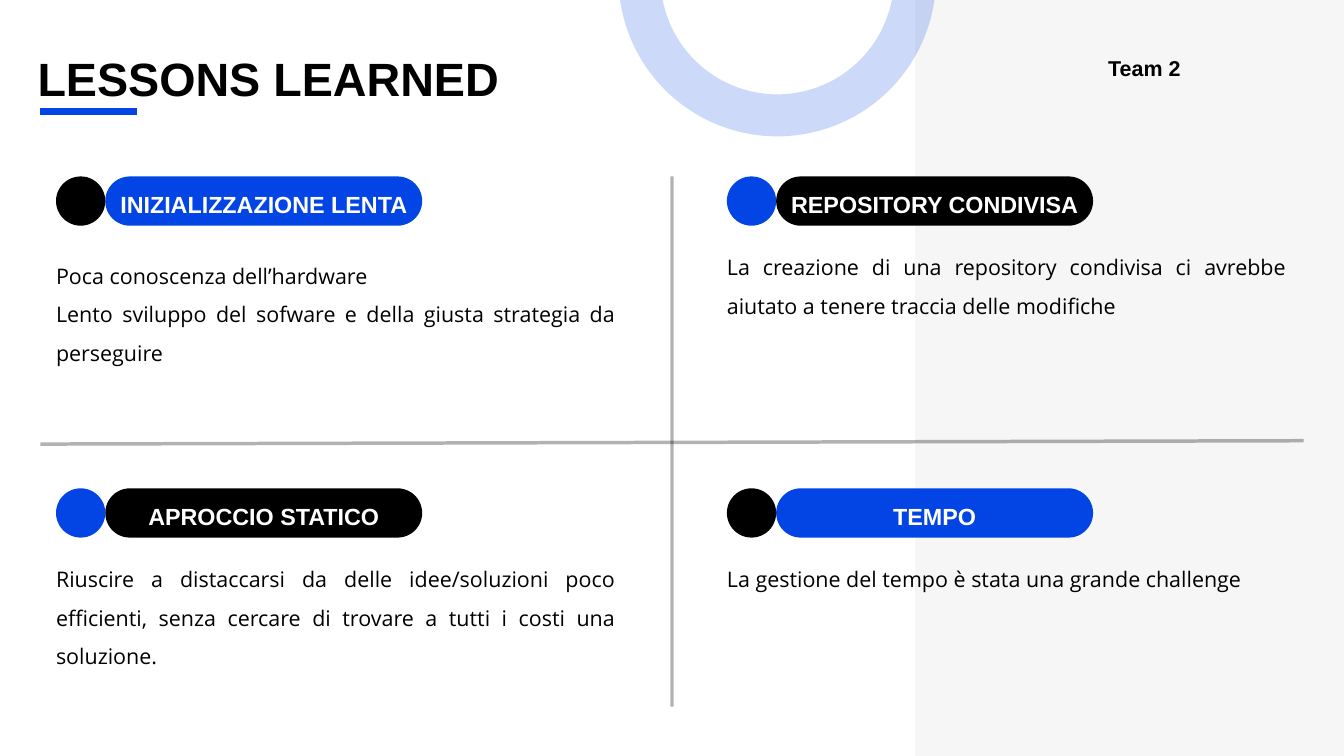
from lxml.etree import SubElement
from pptx import Presentation
from pptx.dml.color import RGBColor
from pptx.enum.shapes import MSO_CONNECTOR, MSO_SHAPE
from pptx.enum.text import MSO_ANCHOR, MSO_AUTO_SIZE, PP_ALIGN
from pptx.oxml.ns import qn
from pptx.util import Inches, Pt

COLORS = {"blue": "0345E4", "black": "000000", "white": "FFFFFF", "panel": "F6F6F6"}
WIDTH, HEIGHT, COLUMNS = 20, 11.25, 24
ROWS = COLUMNS * HEIGHT / WIDTH
HEADING = {"name": "Arial", "bold": True}
FORMATS = {
    "title": {"font": HEADING | {"size": Pt(50)}, "color": "black",
              "paragraph": {"alignment": PP_ALIGN.LEFT, "line_spacing": 1.4}},
    "team": {"font": HEADING | {"size": Pt(23)}, "color": "black",
             "paragraph": {"alignment": PP_ALIGN.LEFT, "line_spacing": 1.4}},
    "label": {"font": HEADING | {"size": Pt(25)}, "color": "white",
              "paragraph": {"alignment": PP_ALIGN.CENTER, "line_spacing": 1.4},
              "frame": {"vertical_anchor": MSO_ANCHOR.MIDDLE}},
    "body": {"font": {"name": "Open Sans", "bold": False, "size": Pt(23)}, "color": "black",
             "paragraph": {"alignment": PP_ALIGN.JUSTIFY, "line_spacing": 1.5}},
}
FRAME = {"margin_left": 0, "margin_right": 0, "margin_top": 0, "margin_bottom": 0,
         "word_wrap": True, "auto_size": MSO_AUTO_SIZE.NONE, "vertical_anchor": MSO_ANCHOR.TOP}

LEFT, RIGHT, TOP, BOTTOM = 1, 12.98, 3.15, 8.72
DOT, PILL_WIDTH, BODY_WIDTH = 0.88, 5.66, 10
LESSONS = [
    (LEFT, TOP, "black", "blue", "INIZIALIZZAZIONE LENTA", 4.46,
     ["Poca conoscenza dell’hardware",
      "Lento sviluppo del sofware e della giusta strategia da perseguire"]),
    (RIGHT, TOP, "blue", "black", "REPOSITORY CONDIVISA", 4.31,
     ["La creazione di una repository condivisa ci avrebbe aiutato a tenere traccia "
      "delle modifiche"]),
    (LEFT, BOTTOM, "blue", "black", "APROCCIO STATICO", 9.88,
     ["Riuscire a distaccarsi da delle idee/soluzioni poco efficienti, senza cercare "
      "di trovare a tutti i costi una soluzione."]),
    (RIGHT, BOTTOM, "black", "blue", "TEMPO", 9.88,
     ["La gestione del tempo è stata una grande challenge"]),
]


def assign(target, values):
    """Set each named attribute of the target."""
    for attribute, value in values.items():
        setattr(target, attribute, value)


class Board:
    """Draws styled elements on a slide, measured in grid columns and rows."""

    def __init__(self, slide):
        """Keep the slide to draw on."""
        self.slide = slide

    def grid(self, *cells):
        """Turn alternating columns and rows into lengths."""
        units = (WIDTH / COLUMNS, HEIGHT / ROWS)
        return [Inches(cell * units[index % 2]) for index, cell in enumerate(cells)]

    def color(self, name):
        """Look up a palette colour."""
        return RGBColor.from_string(COLORS[name])

    def typeset(self, frame, paragraphs, style):
        """Fill a text frame with paragraphs in a named style."""
        look = FORMATS[style]
        assign(frame, FRAME | look.get("frame", {}))
        frame.text = "\n".join(paragraphs)
        for paragraph in frame.paragraphs:
            assign(paragraph, look["paragraph"])
            for run in paragraph.runs:
                assign(run.font, look["font"])
                run.font.color.rgb = self.color(look["color"])

    def title(self, text, *box):
        """Place and format the title placeholder."""
        heading = self.slide.shapes.title
        assign(heading, dict(zip(("left", "top", "width", "height"), self.grid(*box))))
        self.typeset(heading.text_frame, [text], "title")

    def text(self, paragraphs, style, *box):
        """Add a text box."""
        area = self.slide.shapes.add_textbox(*self.grid(*box))
        self.typeset(area.text_frame, paragraphs, style)

    def stroke(self, figure, color, points, opacity):
        """Style an outline, with opacity in percent."""
        figure.line.color.rgb = self.color(color)
        figure.line.width = Pt(points)
        if opacity < 100:
            tint = figure._element.spPr.find(f"{qn('a:ln')}//{qn('a:srgbClr')}")
            SubElement(tint, qn("a:alpha"), val=str(opacity * 1000))

    def shape(self, kind, color, *box):
        """Add a filled shape without outline."""
        figure = self.slide.shapes.add_shape(kind, *self.grid(*box))
        figure.shadow.inherit = False
        figure.fill.solid()
        figure.fill.fore_color.rgb = self.color(color)
        figure.line.fill.background()
        return figure

    def ring(self, color, points, opacity, *box):
        """Add an unfilled circle with a thick outline."""
        circle = self.shape(MSO_SHAPE.OVAL, color, *box)
        circle.fill.background()
        self.stroke(circle, color, points, opacity)

    def rule(self, color, points, opacity, *ends):
        """Add a straight line."""
        connector = self.slide.shapes.add_connector(MSO_CONNECTOR.STRAIGHT, *self.grid(*ends))
        self.stroke(connector, color, points, opacity)
        SubElement(connector._element.spPr, qn("a:effectLst"))

    def lesson(self, left, top, dot, pill, label, body_top, body):
        """Add a dot, a labelled pill and the lesson below them."""
        pill_left = left + DOT
        capsule = self.shape(MSO_SHAPE.ROUNDED_RECTANGLE, pill, pill_left, top, PILL_WIDTH, DOT)
        capsule.adjustments[0] = 0.5
        self.text([label], "label", pill_left, top - 0.1, PILL_WIDTH, DOT + 0.1)
        self.shape(MSO_SHAPE.OVAL, dot, left, top, DOT, DOT)
        self.text(body, "body", left, body_top, BODY_WIDTH, 1.69)


def main():
    """Build and save the slide."""
    deck = Presentation()
    deck.slide_width, deck.slide_height = Inches(WIDTH), Inches(HEIGHT)
    board = Board(deck.slides.add_slide(deck.slide_layouts[5]))
    board.shape(MSO_SHAPE.RECTANGLE, "panel", 16.34, 0, COLUMNS - 16.34, ROWS)
    board.rule("black", 3.75, 30, 0.72, 7.93, 23.28, 7.87)
    board.rule("black", 3.75, 30, 12, TOP, 12, 12.62)
    board.rule("blue", 7.5, 100, 0.72, 2, 2.45, 2)
    board.title("LESSONS LEARNED", 0.67, 0.49, 14.14, 1.12)
    board.text(["Team 2"], "team", 19.79, 0.8, 3.6, 0.52)
    for lesson in LESSONS:
        board.lesson(*lesson)
    board.ring("blue", 45, 20, 11.42, -2.86, 4.92, 4.92)
    deck.save("out.pptx")


if __name__ == "__main__":
    main()
